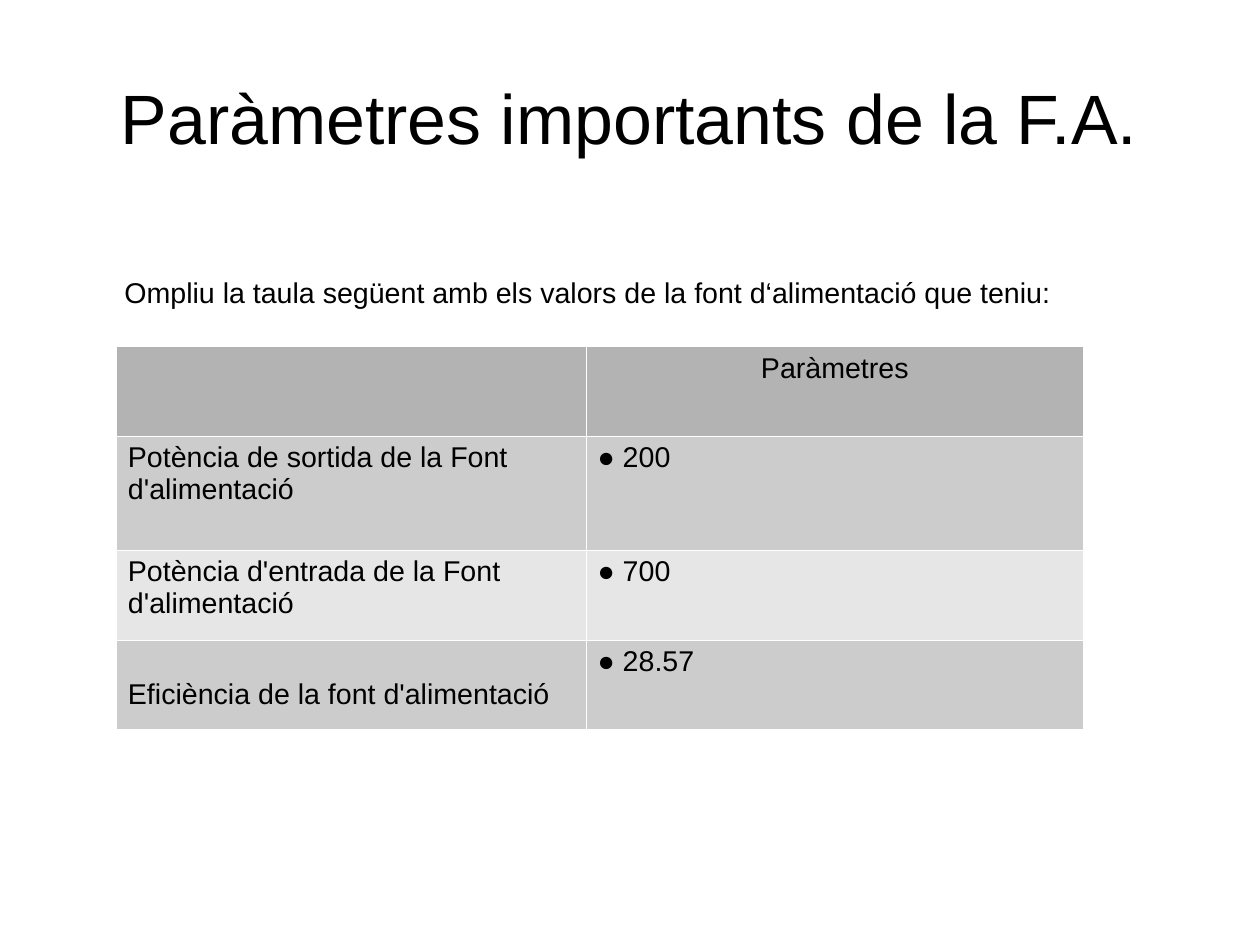
from lxml.etree import SubElement
from pptx import Presentation
from pptx.dml.color import RGBColor
from pptx.enum.text import MSO_ANCHOR, PP_ALIGN
from pptx.oxml.ns import qn
from pptx.util import Pt

BLACK = RGBColor(0x00, 0x00, 0x00)
WHITE = RGBColor(0xFF, 0xFF, 0xFF)
HEADER_GRAY = RGBColor(0xB3, 0xB3, 0xB3)
DARK_GRAY = RGBColor(0xCC, 0xCC, 0xCC)
LIGHT_GRAY = RGBColor(0xE6, 0xE6, 0xE6)

SIDE_MARGIN, TOP_MARGIN, LINE_HEIGHT = 7.2, 3.6, 20.7
COLUMN_WIDTHS = (295.8, 313.2)
# height, fill, texts of the two columns
ROWS = (
    (56.5, HEADER_GRAY, ("", "Paràmetres")),
    (71.8, DARK_GRAY, ("Potència de sortida de la Font d'alimentació", "● 200")),
    (56.5, LIGHT_GRAY, ("Potència d'entrada de la Font d'alimentació", "● 700")),
    (56.5, DARK_GRAY, ("Eficiència de la font d'alimentació", "● 28.57")),
)


def set_attributes(target, values):
    for name, value in values.items():
        setattr(target, name, value)


def write_text(frame, text, size, align):
    para = frame.paragraphs[0]
    para.alignment = align
    set_attributes(para.font, {"name": "Arial", "size": Pt(size)})
    if text:
        span = para.add_run()
        span.text = text
        set_attributes(span.font, {"name": "Arial", "size": Pt(size), "bold": False})
        span.font.color.rgb = BLACK


def set_margins(target, side, top):
    set_attributes(target, {
        "margin_left": Pt(side), "margin_right": Pt(side),
        "margin_top": Pt(top), "margin_bottom": Pt(min(top, TOP_MARGIN)),
    })


def add_title(page, left, top, width, height):
    frame = page.shapes.add_textbox(Pt(left), Pt(top), Pt(width), Pt(height)).text_frame
    set_margins(frame, 0, 0)
    set_attributes(frame, {"word_wrap": True, "vertical_anchor": MSO_ANCHOR.MIDDLE})
    write_text(frame, "Paràmetres importants de la F.A.", 44, PP_ALIGN.CENTER)


def add_instruction(page, left, top, width, height):
    frame = page.shapes.add_textbox(Pt(left), Pt(top), Pt(width), Pt(height)).text_frame
    set_margins(frame, SIDE_MARGIN, TOP_MARGIN)
    frame.word_wrap = False
    text = "Ompliu la taula següent amb els valors de la font d‘alimentació que teniu:"
    write_text(frame, text, 18, PP_ALIGN.LEFT)


def add_borders(cell):
    properties = cell._tc.get_or_add_tcPr()
    for side in ("lnL", "lnR", "lnT", "lnB"):
        line = SubElement(properties, qn(f"a:{side}"), w=str(Pt(0.06)))
        fill = SubElement(line, qn("a:solidFill"))
        SubElement(fill, qn("a:srgbClr"), val=str(WHITE))


def add_parameter_table(page, left, top):
    width = sum(COLUMN_WIDTHS)
    height = sum(row[0] for row in ROWS)
    table = page.shapes.add_table(
        len(ROWS), len(COLUMN_WIDTHS), Pt(left), Pt(top), Pt(width), Pt(height)).table
    set_attributes(table, {"first_row": False, "horz_banding": False})
    for column, column_width in zip(table.columns, COLUMN_WIDTHS):
        column.width = Pt(column_width)
    for index, (row_height, color, texts) in enumerate(ROWS):
        table.rows[index].height = Pt(row_height)
        align = PP_ALIGN.CENTER if index == 0 else PP_ALIGN.LEFT
        for cell, text in zip(table.rows[index].cells, texts):
            add_borders(cell)
            cell.fill.solid()
            cell.fill.fore_color.rgb = color
            set_margins(cell, SIDE_MARGIN, TOP_MARGIN)
            write_text(cell.text_frame, text, 18, align)
    # The efficiency label sits one line lower than its value
    table.cell(len(ROWS) - 1, 0).margin_top = Pt(TOP_MARGIN + LINE_HEIGHT)


def main():
    deck = Presentation()
    set_attributes(deck, {"slide_width": Pt(793.6), "slide_height": Pt(595.3)})
    page = deck.slides.add_slide(deck.slide_layouts[6])
    add_title(page, 39.6, 23.8, 714.2, 99.4)
    add_parameter_table(page, 73.4, 218.2)
    add_instruction(page, 71.3, 169.9, 602.6, 27.4)
    deck.save("out.pptx")


if __name__ == "__main__":
    main()
